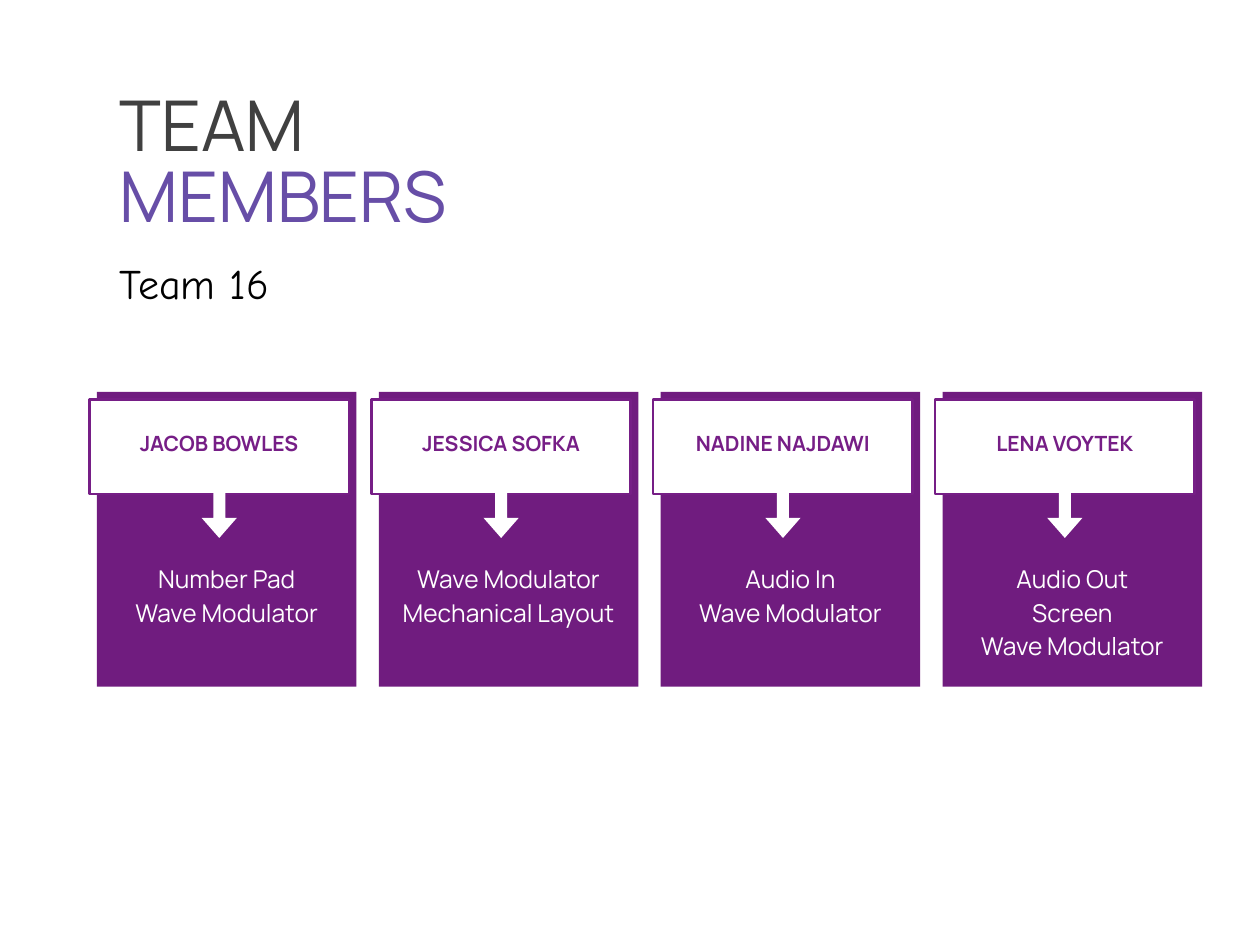
from dataclasses import dataclass

from pptx import Presentation
from pptx.dml.color import RGBColor as RGB
from pptx.enum.shapes import MSO_SHAPE as Shape
from pptx.enum.text import MSO_ANCHOR as Anchor, MSO_AUTO_SIZE as Fit, PP_ALIGN as Align
from pptx.util import Inches, Pt

COLORS = {
    "white": "FFFFFF",
    "black": "000000",
    "gray": "404040",
    "violet": "674EA7",
    "plum": "701C7F",
    "edge": "761E86",
}
FONT = "Manrope"
LEFT, TOP, STEP, WIDE = 0.77, 3.11, 2.237, 2.06


@dataclass
class Member:
    name: str
    roles: list[str]


TEAM = [
    Member("JACOB BOWLES", ["Number Pad", "Wave Modulator"]),
    Member("JESSICA SOFKA", ["Wave Modulator", "Mechanical Layout"]),
    Member("NADINE NAJDAWI", ["Audio In", "Wave Modulator"]),
    Member("LENA VOYTEK", ["Audio Out", "Screen", "Wave Modulator"]),
]


def color(key: str) -> RGB:
    return RGB.from_string(COLORS[key])


def place(item, left: float, top: float, width: float, height: float) -> None:
    item.left, item.top = Inches(left), Inches(top)
    item.width, item.height = Inches(width), Inches(height)


def write(item, lines: list[str], *, size: float, colors: list[str], font: str = FONT,
          bold: bool = False, align=Align.LEFT, space: float = 1.0, pad: float = 0.1) -> None:
    """Fill a text frame; the last color serves all remaining lines."""
    frame = item.text_frame
    frame.word_wrap = True
    frame.auto_size = Fit.NONE
    frame.vertical_anchor = Anchor.TOP
    frame.margin_left = frame.margin_right = Inches(0.1)
    frame.margin_top = frame.margin_bottom = Inches(pad)
    for i, line in enumerate(lines):
        para = frame.paragraphs[0] if i == 0 else frame.add_paragraph()
        para.alignment = align
        para.line_spacing = space
        para.space_before = para.space_after = Pt(0)
        run = para.add_run()
        run.text = line
        run.font.name = font
        run.font.size = Pt(size)
        run.font.bold = bold
        run.font.color.rgb = color(colors[min(i, len(colors) - 1)])


def add_text(shapes, at: tuple, lines: list[str], **form) -> None:
    box = shapes.add_textbox(*map(Inches, at))
    write(box, lines, **form)


def add_shape(shapes, kind, at: tuple, fill: str, line: str | None = None):
    item = shapes.add_shape(kind, *map(Inches, at))
    item.shadow.inherit = False
    item.fill.solid()
    item.fill.fore_color.rgb = color(fill)
    if line:
        item.line.color.rgb = color(line)
        item.line.width = Pt(1.5)
    else:
        item.line.fill.background()
    return item


def add_card(slide, member: Member, left: float) -> None:
    shapes = slide.shapes.add_group_shape().shapes
    # Panel and name plate
    add_shape(shapes, Shape.RECTANGLE, (left, TOP, WIDE, 2.34), "plum")
    add_shape(shapes, Shape.RECTANGLE, (left - 0.06, TOP + 0.06, WIDE, 0.75), "white", "edge")
    add_text(shapes, (left + 0.05, TOP + 0.21, 1.84, 0.44), [member.name],
             size=12, colors=["edge"], bold=True, align=Align.CENTER)
    # Arrow down to the roles
    arrow = add_shape(shapes, Shape.RIGHT_ARROW, (left + 0.75, TOP + 0.8, 0.44, 0.28), "white")
    arrow.rotation = 90
    arrow.adjustments[0], arrow.adjustments[1] = 0.34, 0.57
    add_text(shapes, (left, TOP + 1.23, WIDE, 1.22), member.roles,
             size=14, colors=["white"], align=Align.CENTER, space=1.15)


def main() -> None:
    deck = Presentation()
    deck.slide_width, deck.slide_height = Inches(10), Inches(7.5)
    slide = deck.slides.add_slide(deck.slide_layouts[5])
    slide.background.fill.solid()
    slide.background.fill.fore_color.rgb = color("white")

    # Heading
    title = slide.shapes.title
    place(title, 0.85, 0.7, 3.56, 1.59)
    write(title, ["TEAM", "MEMBERS"], size=40, colors=["gray", "violet"],
          space=0.85, pad=0.05)
    add_text(slide.shapes, (0.85, 1.94, 1.86, 0.6), ["Team 16"],
             size=24, colors=["black"], font="Comic Neue")

    # Member cards
    for i, member in enumerate(TEAM):
        add_card(slide, member, LEFT + i * STEP)

    deck.save("out.pptx")


if __name__ == "__main__":
    main()
